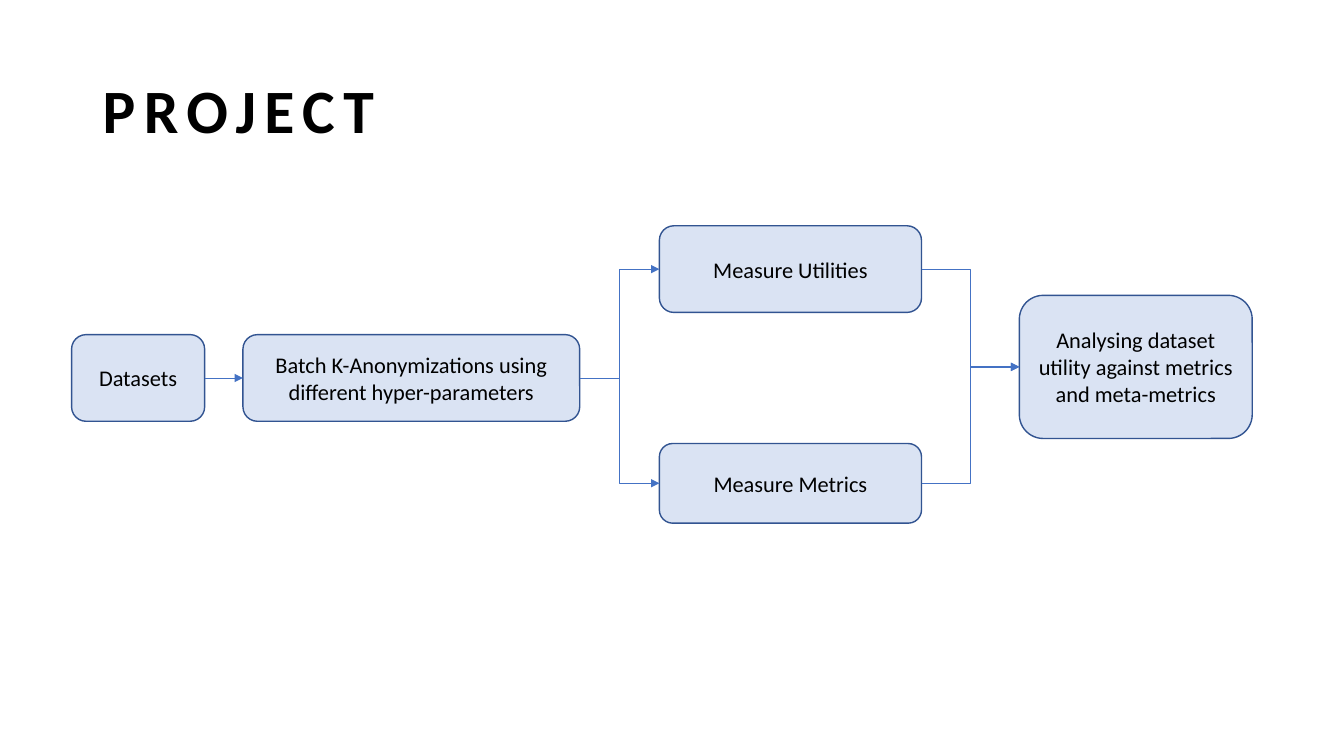
from lxml import etree
from pptx import Presentation
from pptx.dml.color import RGBColor
from pptx.enum.shapes import MSO_CONNECTOR, MSO_SHAPE
from pptx.enum.text import MSO_ANCHOR, PP_ALIGN
from pptx.oxml.ns import qn
from pptx.util import Inches, Pt

ROUND = MSO_SHAPE.ROUNDED_RECTANGLE
ELBOW, LINE = MSO_CONNECTOR.ELBOW, MSO_CONNECTOR.STRAIGHT
MIDDLE = MSO_ANCHOR.MIDDLE
LEFT, CENTER = PP_ALIGN.LEFT, PP_ALIGN.CENTER
LEFT_SITE, RIGHT_SITE = 1, 3


def color(code):
    """Turn a hex string into a colour."""
    return RGBColor.from_string(code)


class Flow:
    """Hold the style and the current slide of a flow chart."""

    font, ink = "Calibri", "000000"
    fill, edge, wire = "DAE3F3", "325491", "4472C4"

    def __init__(self, slide):
        """Keep the shapes of the slide to draw on."""
        self.shapes = slide.shapes

    def label(self, shape, text, size, align, bold=False):
        """Fill a shape with styled text and return its frame."""
        frame = shape.text_frame
        frame.text = text
        frame.word_wrap = True
        frame.vertical_anchor = MIDDLE
        for para in frame.paragraphs:
            para.alignment = align
            for run in para.runs:
                run.font.name = self.font
                run.font.size = Pt(size)
                run.font.bold = bold
                run.font.color.rgb = color(self.ink)
        return frame

    def title(self, text, left, top, width, height):
        """Add the wide-spaced slide title."""
        area = map(Inches, (left, top, width, height))
        frame = self.label(self.shapes.add_textbox(*area), text, 44, LEFT, True)
        para = frame.paragraphs[0]
        para.line_spacing = 0.9
        para.runs[0].font._element.set("spc", "600")

    def step(self, text, left, top, width, height):
        """Add a rounded box with centred text."""
        area = map(Inches, (left, top, width, height))
        box = self.shapes.add_shape(ROUND, *area)
        box.shadow.inherit = False
        box.fill.solid()
        box.fill.fore_color.rgb = color(self.fill)
        box.line.color.rgb = color(self.edge)
        box.line.width = Pt(1)
        frame = self.label(box, text, 16, CENTER)
        frame.margin_left = frame.margin_right = Inches(0.05)
        return box

    def arrow(self, start, end, kind=ELBOW):
        """Join the right side of one box to the left side of another."""
        ends = (start.left + start.width, start.top + start.height // 2,
                end.left, end.top + end.height // 2)
        link = self.shapes.add_connector(kind, *ends)
        link.begin_connect(start, RIGHT_SITE)
        link.end_connect(end, LEFT_SITE)
        link.line.color.rgb = color(self.wire)
        link.line.width = Pt(0.5)
        props = link._element.spPr
        etree.SubElement(props.find(qn("a:ln")), qn("a:tailEnd"), type="triangle")
        etree.SubElement(props, qn("a:effectLst"))


deck = Presentation()
deck.slide_width, deck.slide_height = Inches(13.33), Inches(7.5)
flow = Flow(deck.slides.add_slide(deck.slide_layouts[6]))

flow.title("PROJECT", 0.92, 0.4, 11.5, 1.45)
data = flow.step("Datasets", 0.71, 3.32, 1.32, 0.86)
batch = flow.step("Batch K-Anonymizations using different hyper-parameters",
                  2.41, 3.32, 3.34, 0.86)
use = flow.step("Measure Utilities", 6.54, 2.24, 2.6, 0.86)
metric = flow.step("Measure Metrics", 6.54, 4.4, 2.6, 0.79)
result = flow.step("Analysing dataset utility against metrics and meta-metrics",
                   10.11, 2.93, 2.31, 1.42)

flow.arrow(data, batch, LINE)
for measure in (use, metric):
    flow.arrow(batch, measure)
    flow.arrow(measure, result)

deck.save("out.pptx")
